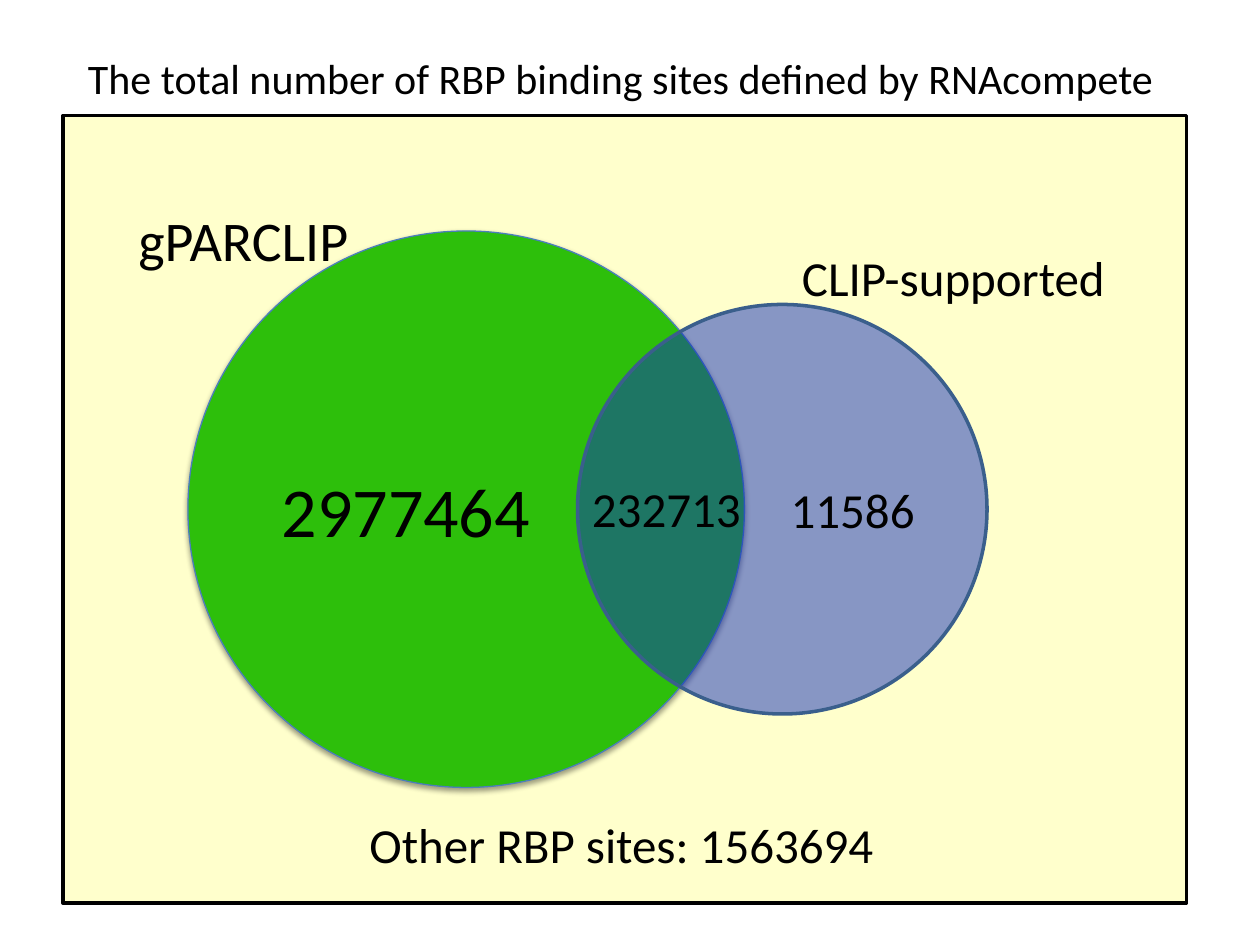
from lxml import etree
from pptx import Presentation
from pptx.dml.color import RGBColor
from pptx.enum.shapes import MSO_SHAPE
from pptx.enum.text import MSO_ANCHOR, MSO_AUTO_SIZE, PP_ALIGN
from pptx.oxml.ns import qn
from pptx.util import Inches, Pt

RECTANGLE, OVAL = MSO_SHAPE.RECTANGLE, MSO_SHAPE.OVAL
LEFT, RIGHT = PP_ALIGN.LEFT, PP_ALIGN.RIGHT
MIDDLE = MSO_ANCHOR.MIDDLE
FONT = "Calibri"
COLORS = {
    "text": "000000", "frame": "000000", "universe": "FFFFCC",
    "gparclip": "2DBF0B", "gparclip_line": "4B7EBC",
    "clip": "112EBD", "clip_line": "3A5F8C",
}

# Content: positions in cells of a 120 x 90 grid
COLUMNS, ROWS = 120, 90
UNIVERSE = (6, 11, 107, 75)
CIRCLE_AXIS = 48.5  # row on which both circles are centred
CIRCLES = [
    {"left": 17.9, "diameter": 53, "fill": "gparclip", "line": "gparclip_line",
     "weight": 0.75, "text": "2977464", "size": 40, "align": LEFT, "shadow": True},
    {"left": 55, "diameter": 39, "fill": "clip", "line": "clip_line",
     "weight": 2, "text": "11586", "size": 28, "align": RIGHT, "opacity": 50},
]
LABELS = [  # text, size, left, top, width, height
    ("232713", 28, 55.2, 45, 16.8, 6.8),
    ("gPARCLIP", 32, 12, 19, 22.7, 7.7),
    ("CLIP-supported", 28, 75.2, 23, 31.8, 6.8),
    ("Other RBP sites: 1563694", 28, 34, 77, 51, 6.8),
    ("The total number of RBP binding sites defined by RNAcompete",
     24, 7.2, 4.4, 104.9, 6),
]

presentation = Presentation()
presentation.slide_width, presentation.slide_height = Inches(10), Inches(7.5)
slide = presentation.slides.add_slide(presentation.slide_layouts[6])
column = presentation.slide_width / COLUMNS
row = presentation.slide_height / ROWS


def place(left, top, width, height):
    return (round(left * column), round(top * row),
            round(width * column), round(height * row))


def color(name):
    return RGBColor.from_string(COLORS[name])


def add_filled(kind, box, fill, line, weight):
    shape = slide.shapes.add_shape(kind, *place(*box))
    shape.shadow.inherit = False
    shape.fill.solid()
    shape.fill.fore_color.rgb = color(fill)
    shape.line.color.rgb = color(line)
    shape.line.width = Pt(weight)
    return shape


def write(shape, text, size, align=LEFT):
    paragraph = shape.text_frame.paragraphs[0]
    paragraph.alignment = align
    run = paragraph.add_run()
    run.text = text
    run.font.name = FONT
    run.font.size = Pt(size)
    run.font.color.rgb = color("text")


def set_alpha(color_element, percent):
    etree.SubElement(color_element, qn("a:alpha"), val=str(percent * 1000))


def add_shadow(shape):
    effects = shape.element.spPr.find(qn("a:effectLst"))
    shadow = etree.SubElement(
        effects, qn("a:outerShdw"), blurRad=str(Pt(3.1)), dist=str(Pt(1.6)),
        dir=str(90 * 60000), rotWithShape="0")
    set_alpha(etree.SubElement(shadow, qn("a:srgbClr"), val="000000"), 38)


# Universe of all binding sites
add_filled(RECTANGLE, UNIVERSE, "universe", "frame", 2)

# Overlapping sets
for circle in CIRCLES:
    diameter = circle["diameter"]
    box = (circle["left"], CIRCLE_AXIS - diameter / 2, diameter, diameter)
    shape = add_filled(OVAL, box, circle["fill"], circle["line"], circle["weight"])
    shape.text_frame.vertical_anchor = MIDDLE
    write(shape, circle["text"], circle["size"], circle["align"])
    if "opacity" in circle:
        fill_color = shape.element.spPr.find(qn("a:solidFill")).find(qn("a:srgbClr"))
        set_alpha(fill_color, circle["opacity"])
    if circle.get("shadow"):
        add_shadow(shape)

# Labels and title
for text, size, *box in LABELS:
    label = slide.shapes.add_textbox(*place(*box))
    label.text_frame.word_wrap = False
    label.text_frame.auto_size = MSO_AUTO_SIZE.SHAPE_TO_FIT_TEXT
    write(label, text, size)

presentation.save("out.pptx")
